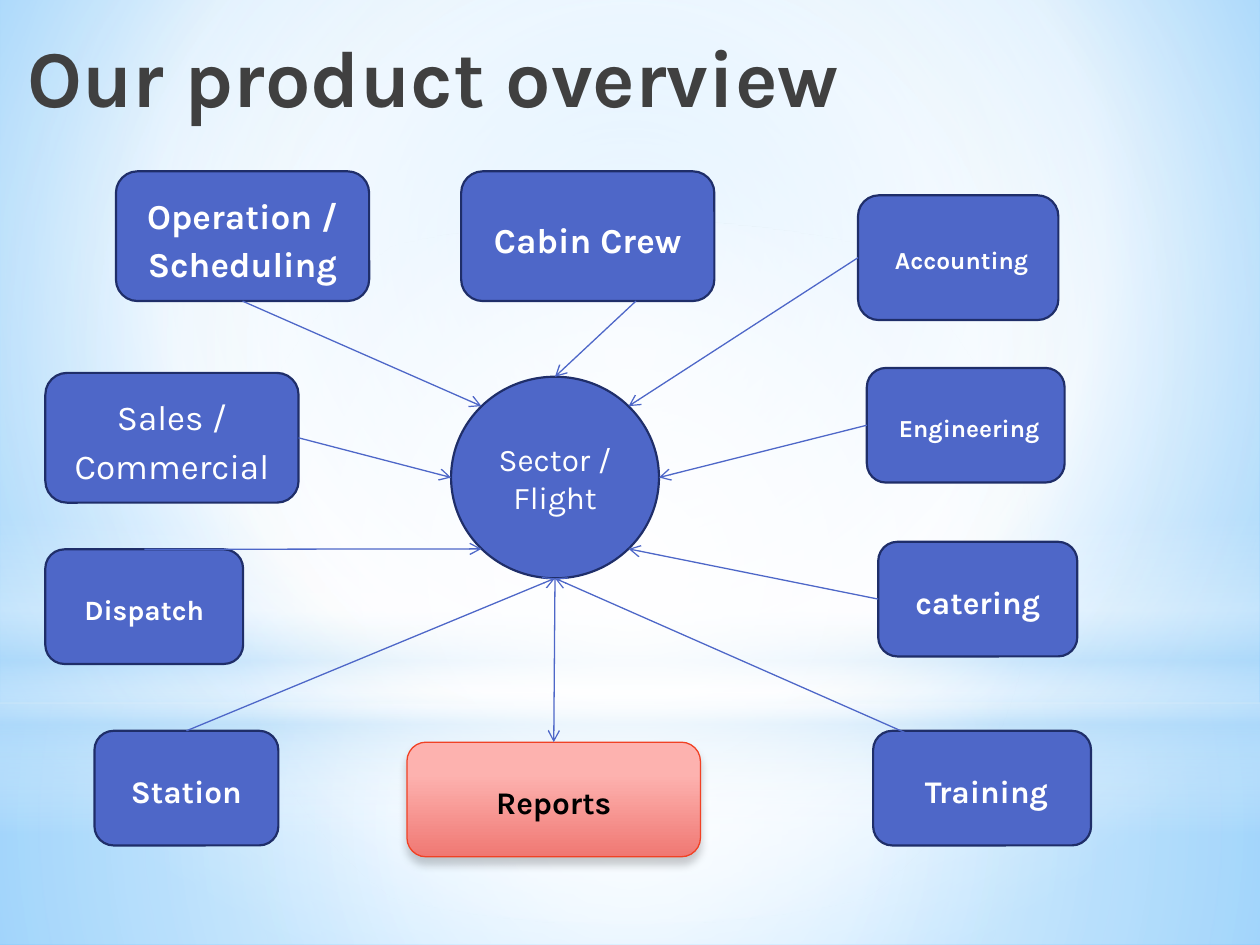
import dataclasses
import typing

import lxml.etree
import pptx
import pptx.dml.color
import pptx.enum.shapes
import pptx.enum.text
import pptx.oxml.ns
import pptx.util

RGB = pptx.dml.color.RGBColor
SHAPES = pptx.enum.shapes.MSO_SHAPE
ALIGN = pptx.enum.text.PP_ALIGN
MIDDLE = pptx.enum.text.MSO_ANCHOR.MIDDLE
qn = pptx.oxml.ns.qn

WHITE = RGB(0xFF, 0xFF, 0xFF)
BLACK = RGB(0, 0, 0)
CHARCOAL = RGB(0x40, 0x40, 0x40)
BLUE = RGB(0x4E, 0x67, 0xC8)
NAVY = RGB(0x1F, 0x2E, 0x69)
RED = RGB(0xF1, 0x41, 0x24)
PINK = RGB(0xFD, 0xB2, 0xAF)
ROSE = RGB(0xF0, 0x78, 0x73)
SKY = RGB(0x9E, 0xD5, 0xFF)
PALE = RGB(0xB4, 0xDC, 0xFA)
DEEP_SKY = RGB(0x5B, 0xB9, 0xFF)
FONT = "Karla"

# The slide is a grid of 100 columns by 75 rows
COLUMNS, ROWS = 100, 75
WIDTH, HEIGHT = pptx.util.Inches(10), pptx.util.Inches(7.5)


class Area(typing.NamedTuple):
    column: float
    row: float
    columns: float
    rows: float

    def point(self, share: tuple[float, float]) -> tuple[float, float]:
        """Grid point at a share of the area's width and height."""
        return self.column + share[0] * self.columns, self.row + share[1] * self.rows


class Stop(typing.NamedTuple):
    position: int
    color: RGB
    opacity: int = 100


@dataclasses.dataclass(frozen=True)
class Gradient:
    stops: list[Stop]
    focus: tuple[int, int, int, int] | None = None  # None: runs downwards


@dataclasses.dataclass(frozen=True)
class Module:
    text: str
    area: Area
    size: int
    exit: tuple[float, float]  # where its arrow meets the box
    entry: tuple[float, float]  # where its arrow meets the hub
    bold: bool = True


# Sites on the hub's outline, as shares of its box
NEAR, FAR = 0.146, 0.854
TOP, BOTTOM, LEFT, RIGHT = (0.5, 0), (0.5, 1), (0, 0.5), (1, 0.5)
TOP_LEFT, TOP_RIGHT = (NEAR, NEAR), (FAR, NEAR)
BOTTOM_LEFT, BOTTOM_RIGHT = (NEAR, FAR), (FAR, FAR)

HUB = Area(35.8, 29.9, 16.5, 16)
REPORTS = Area(32.3, 58.9, 23.3, 9.1)
MODULES = [
    Module("Sales / Commercial", Area(3.6, 29.6, 20.1, 10.3), 20, RIGHT, LEFT, False),
    Module("Cabin Crew", Area(36.6, 13.6, 20.1, 10.3), 20, (0.69, 1), TOP),
    Module("Operation / Scheduling", Area(9.2, 13.6, 20.1, 10.3), 20, BOTTOM, TOP_LEFT),
    Module("Dispatch", Area(3.6, 43.6, 15.7, 9.1), 16, TOP, BOTTOM_LEFT),
    Module("Station", Area(7.5, 58, 14.6, 9.1), 18, TOP, BOTTOM),
    Module("Training ", Area(69.3, 58, 17.3, 9.1), 18, (0.39, 0.22), BOTTOM),
    Module("catering", Area(69.7, 43, 15.8, 9.1), 18, LEFT, BOTTOM_RIGHT),
    Module("Engineering ", Area(68.8, 29.2, 15.7, 9.1), 14, LEFT, RIGHT),
    Module("Accounting ", Area(68.1, 15.5, 15.9, 9.9), 14, LEFT, TOP_RIGHT),
]

CENTER = (50, 50, 50, 50)
BACKGROUND = Gradient([Stop(0, SKY), Stop(60, WHITE), Stop(100, DEEP_SKY)], (20, 10, 20, 60))
GLOWS = [
    (SHAPES.RECTANGLE, Area(0, 55.8, 100, 19.2),
     Gradient([Stop(0, WHITE, 91), Stop(37, WHITE, 76), Stop(100, PALE, 79)], CENTER)),
    (SHAPES.RECTANGLE, Area(0, 0, 100, 55.8),
     Gradient([Stop(0, WHITE, 89), Stop(48, WHITE, 62), Stop(100, PALE, 79)], CENTER)),
    (SHAPES.RECTANGLE, Area(0, 41.2, 100, 25),
     Gradient([Stop(0, WHITE, 0), Stop(29, WHITE, 30), Stop(45, PALE, 40),
               Stop(55, WHITE, 26), Stop(65, PALE, 60), Stop(100, WHITE, 0)])),
    (SHAPES.OVAL, Area(0, 17.5, 100, 55.8),
     Gradient([Stop(0, WHITE), Stop(56, WHITE, 0)], CENTER)),
]
REPORTS_FILL = Gradient([Stop(28, PINK), Stop(100, ROSE)])
MODULE_SPACING = {"line_spacing": 1.15, "space_after": pptx.util.Pt(10)}


def x(column: float) -> int:
    return round(WIDTH * column / COLUMNS)


def y(row: float) -> int:
    return round(HEIGHT * row / ROWS)


def place(area: Area) -> tuple[int, int, int, int]:
    return x(area.column), y(area.row), x(area.columns), y(area.rows)


def assign(target: typing.Any, values: dict[str, typing.Any]) -> None:
    for name, value in values.items():
        setattr(target, name, value)


def child(parent: typing.Any, tag: str, **attributes: typing.Any) -> typing.Any:
    return lxml.etree.SubElement(
        parent, qn(tag), {key: str(value) for key, value in attributes.items()})


def add_color(parent: typing.Any, color: RGB, opacity: int) -> None:
    child(child(parent, "a:srgbClr", val=color), "a:alpha", val=opacity * 1000)


def paint_gradient(owner: typing.Any, fill: typing.Any, gradient: Gradient) -> None:
    fill.gradient()
    element = owner.element.find(".//" + qn("a:gradFill"))
    for part in list(element):
        element.remove(part)
    stops = child(element, "a:gsLst")
    for stop in gradient.stops:
        add_color(child(stops, "a:gs", pos=stop.position * 1000), stop.color, stop.opacity)
    if gradient.focus is None:
        child(element, "a:lin", ang=90 * 60000, scaled=0)
    else:
        sides = {side: share * 1000 for side, share in zip("ltrb", gradient.focus)}
        child(child(element, "a:path", path="circle"), "a:fillToRect", **sides)


def write(shape: typing.Any, text: str, size: int, color: RGB, bold: bool,
          align: typing.Any, spacing: dict[str, typing.Any]) -> None:
    assign(shape.text_frame, {"word_wrap": True, "vertical_anchor": MIDDLE, "text": text})
    paragraph = shape.text_frame.paragraphs[0]
    assign(paragraph, {"alignment": align, **spacing})
    font = paragraph.runs[0].font
    assign(font, {"name": FONT, "size": pptx.util.Pt(size), "bold": bold})
    font.color.rgb = color


def add_shape(slide: typing.Any, kind: typing.Any, area: Area, fill: RGB | Gradient,
              line: RGB | None = None, weight: float = 1.25) -> typing.Any:
    shape = slide.shapes.add_shape(kind, *place(area))
    shape.shadow.inherit = False
    if isinstance(fill, Gradient):
        paint_gradient(shape, shape.fill, fill)
    else:
        shape.fill.solid()
        shape.fill.fore_color.rgb = fill
    if line is None:
        shape.line.fill.background()
    else:
        shape.line.color.rgb = line
        shape.line.width = pptx.util.Pt(weight)
    return shape


def add_label(shape: typing.Any, text: str, size: int, color: RGB = WHITE,
              bold: bool = True, spacing: dict[str, typing.Any] = MODULE_SPACING) -> None:
    write(shape, text, size, color, bold, ALIGN.CENTER, spacing)
    shape.element.find(".//" + qn("a:pPr")).set("rtl", "1")


def add_arrow(slide: typing.Any, start: tuple[float, float], end: tuple[float, float]) -> None:
    arrow = slide.shapes.add_connector(
        pptx.enum.shapes.MSO_CONNECTOR.STRAIGHT, x(start[0]), y(start[1]), x(end[0]), y(end[1]))
    arrow.line.color.rgb = BLUE
    arrow.line.width = pptx.util.Pt(0.75)
    properties = arrow.element.spPr
    child(properties.find(qn("a:ln")), "a:tailEnd", type="arrow")
    child(properties, "a:effectLst")


def main() -> None:
    deck = pptx.Presentation()
    assign(deck, {"slide_width": WIDTH, "slide_height": HEIGHT})
    slide = deck.slides.add_slide(deck.slide_layouts[6])

    # Sky background and its glows
    paint_gradient(slide, slide.background.fill, BACKGROUND)
    for kind, area, gradient in GLOWS:
        add_shape(slide, kind, area, gradient)

    # Title
    title = slide.shapes.add_textbox(*place(Area(1.2, 1.3, 71.7, 9.4)))
    write(title, "Our product overview", 46, CHARCOAL, True, ALIGN.LEFT, {})

    # Hub, modules and reports
    hub = add_shape(slide, SHAPES.OVAL, HUB, BLUE, NAVY)
    add_label(hub, "Sector / Flight", 18, bold=False, spacing={})
    for module in MODULES:
        box = add_shape(slide, SHAPES.ROUNDED_RECTANGLE, module.area, BLUE, NAVY)
        add_label(box, module.text, module.size, bold=module.bold)
    reports = add_shape(slide, SHAPES.ROUNDED_RECTANGLE, REPORTS, REPORTS_FILL, RED, 0.75)
    add_label(reports, "Reports", 18, BLACK)
    shadow = child(reports.element.spPr.find(qn("a:effectLst")), "a:outerShdw",
                   blurRad=pptx.util.Pt(5), dist=pptx.util.Pt(4), dir=90 * 60000, rotWithShape=0)
    add_color(shadow, BLACK, 20)

    # Arrows into the hub, and from the hub to the reports
    for module in MODULES:
        add_arrow(slide, module.area.point(module.exit), HUB.point(module.entry))
    add_arrow(slide, HUB.point(BOTTOM), REPORTS.point(TOP))

    deck.save("out.pptx")


if __name__ == "__main__":
    main()
